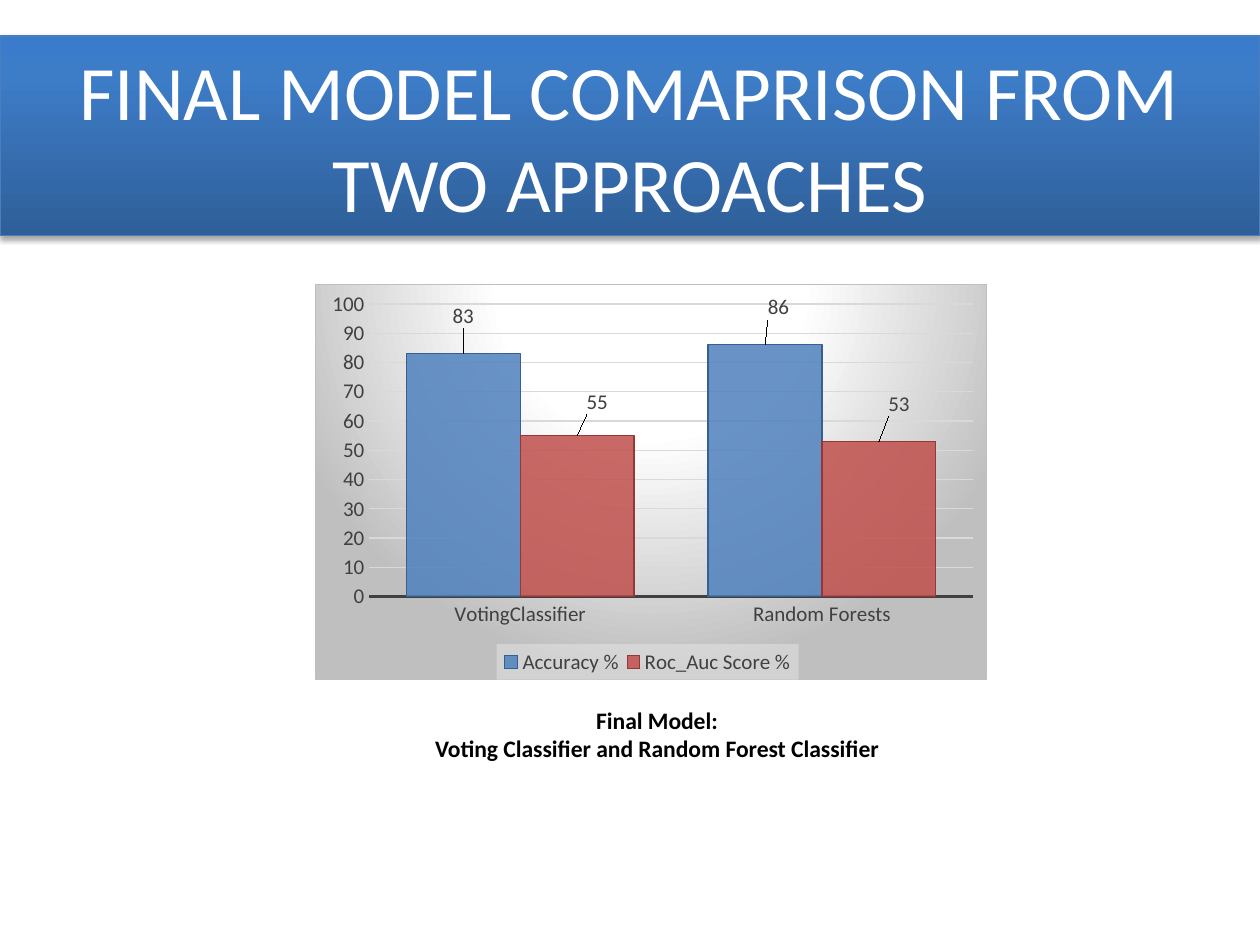
import pptx
import pptx.chart.data
import pptx.dml.color
import pptx.enum.chart
import pptx.enum.text
import pptx.oxml
import pptx.oxml.ns
import pptx.util

Pt = pptx.util.Pt
qn = pptx.oxml.ns.qn
CENTER = pptx.enum.text.PP_ALIGN.CENTER
NS = pptx.oxml.ns.nsdecls("a", "c")
FONT = "Calibri"

TITLE = "FINAL MODEL COMAPRISON FROM TWO APPROACHES"
CAPTION = ["Final Model:", "Voting Classifier and Random Forest Classifier"]
CATEGORIES = ["VotingClassifier", "Random Forests"]
SERIES = [
    {"name": "Accuracy %", "values": [83, 86], "fill": "4F81BD", "line": "376092",
     "label_shifts": [(0, -0.05), (0.02, -0.05)]},
    {"name": "Roc_Auc Score %", "values": [55, 53], "fill": "C0504D", "line": "953735",
     "label_shifts": [(0.03, -0.04), (0.03, -0.05)]},
]
TITLE_STOPS = [(0, "2F5F99"), (80, "3D7CC7"), (100, "3A7CCB")]
CHART_STOPS = [(0, "FFFFFF"), (39, "FFFFFF"), (100, "BFBFBF")]


def rgb(color):
    return pptx.dml.color.RGBColor.from_string(color)


def set_font(font, size, color, bold=False):
    font.name, font.size, font.bold = FONT, Pt(size), bold
    font.color.rgb = rgb(color)


def set_line(line, color, width):
    line.color.rgb = rgb(color)
    line.width = Pt(width)


def gradient(stops, direction):
    gs = "".join(f'<a:gs pos="{pos * 1000}"><a:srgbClr val="{color}"/></a:gs>'
                 for pos, color in stops)
    return f'<a:gradFill {NS} rotWithShape="1"><a:gsLst>{gs}</a:gsLst>{direction}</a:gradFill>'


def solid(color, alpha):
    return (f'<a:solidFill {NS}><a:srgbClr val="{color}">'
            f'<a:alpha val="{alpha * 1000}"/></a:srgbClr></a:solidFill>')


def set_layout(parent, index, **values):
    for old in parent.findall(qn("c:layout")):
        parent.remove(old)
    items = "".join(f'<c:{key} val="{value}"/>' for key, value in values.items())
    parent.insert(index, pptx.oxml.parse_xml(
        f"<c:layout {NS}><c:manualLayout>{items}</c:manualLayout></c:layout>"))


def add_title(slide):
    sp = slide.shapes.title
    sp.left, sp.top, sp.width, sp.height = Pt(0), Pt(20.5), Pt(720), Pt(114)
    set_line(sp.line, "4B7EBC", 0.75)
    sp.line._ln.addprevious(pptx.oxml.parse_xml(
        gradient(TITLE_STOPS, '<a:lin ang="16200000" scaled="0"/>')))
    sp.line._ln.addnext(pptx.oxml.parse_xml(
        f'<a:effectLst {NS}><a:outerShdw blurRad="{Pt(3.1)}" dist="{Pt(1.8)}" dir="5400000" '
        'rotWithShape="0"><a:srgbClr val="000000"><a:alpha val="35000"/></a:srgbClr>'
        "</a:outerShdw></a:effectLst>"))
    tf = sp.text_frame
    tf.text = TITLE
    tf.word_wrap = True
    tf.auto_size = pptx.enum.text.MSO_AUTO_SIZE.NONE
    tf.vertical_anchor = pptx.enum.text.MSO_ANCHOR.MIDDLE
    p = tf.paragraphs[0]
    p.alignment = CENTER
    set_font(p.font, 44, "FFFFFF")


def add_caption(slide):
    tf = slide.shapes.add_textbox(Pt(237.6), Pt(399.6), Pt(275.8), Pt(40.3)).text_frame
    tf.word_wrap = True
    tf.text = "\n".join(CAPTION)
    for p in tf.paragraphs:
        p.alignment = CENTER
        set_font(p.font, 13.5, "000000", True)


def format_axes(chart):
    for axis in (chart.category_axis, chart.value_axis):
        axis.major_tick_mark = axis.minor_tick_mark = pptx.enum.chart.XL_TICK_MARK.NONE
        set_font(axis.tick_labels.font, 12, "404040")
    set_line(chart.category_axis.format.line, "404040", 1.5)
    axis = chart.value_axis
    axis.format.line.fill.background()
    axis.minimum_scale, axis.maximum_scale, axis.major_unit = 0, 100, 10
    set_line(axis.major_gridlines.format.line, "D9D9D9", 0.75)


def format_series(series, style):
    set_line(series.format.line, style["line"], 0.75)
    series.format.line._ln.addprevious(pptx.oxml.parse_xml(solid(style["fill"], 85)))
    labels = series.data_labels
    labels.show_value = True
    set_font(labels.font, 12, "404040")
    for i, (dx, dy) in enumerate(style["label_shifts"]):
        label = series.points[i].data_label
        label.position = pptx.enum.chart.XL_LABEL_POSITION.OUTSIDE_END
        set_font(label.font, 12, "404040")
        set_layout(labels._element.findall(qn("c:dLbl"))[i], 1, x=dx, y=dy)


def format_legend(chart):
    chart.has_legend = True
    legend = chart.legend
    legend.position = pptx.enum.chart.XL_LEGEND_POSITION.BOTTOM
    legend.include_in_layout = False
    set_font(legend.font, 12, "404040")
    legend._element.find(qn("c:txPr")).addprevious(pptx.oxml.parse_xml(
        f'<c:spPr {NS}>{solid("F2F2F2", 39)}</c:spPr>'))
    set_layout(legend._element, 1, xMode="edge", yMode="edge", x=0.27, y=0.91, w=0.45, h=0.09)


def add_chart(slide):
    data = pptx.chart.data.CategoryChartData()
    data.categories = CATEGORIES
    for style in SERIES:
        data.add_series(style["name"], style["values"])
    chart = slide.shapes.add_chart(pptx.enum.chart.XL_CHART_TYPE.COLUMN_CLUSTERED,
                                   Pt(180), Pt(162), Pt(384), Pt(226.8), data).chart
    chart.has_title = False
    set_font(chart.font, 10, "000000")
    plot = chart.plots[0]
    plot.gap_width, plot.overlap, plot.vary_by_categories = 65, 0, False
    format_axes(chart)
    for series, style in zip(plot.series, SERIES):
        format_series(series, style)
    format_legend(chart)
    root = chart._chartSpace
    set_layout(root.find(".//" + qn("c:plotArea")), 0, layoutTarget="inner",
               xMode="edge", yMode="edge", x=0.08, y=0.05, w=0.9, h=0.74)
    radial = ('<a:path path="circle"><a:fillToRect l="50000" t="-80000" '
              'r="50000" b="180000"/></a:path>')
    root.find(qn("c:txPr")).addprevious(pptx.oxml.parse_xml(
        f'<c:spPr {NS}>{gradient(CHART_STOPS, radial)}<a:ln w="{Pt(0.75)}"><a:solidFill>'
        '<a:srgbClr val="BFBFBF"/></a:solidFill></a:ln></c:spPr>'))


prs = pptx.Presentation()
prs.slide_width, prs.slide_height = Pt(720), Pt(540)
slide = prs.slides.add_slide(prs.slide_layouts[5])
add_title(slide)
add_caption(slide)
add_chart(slide)
prs.save("out.pptx")
